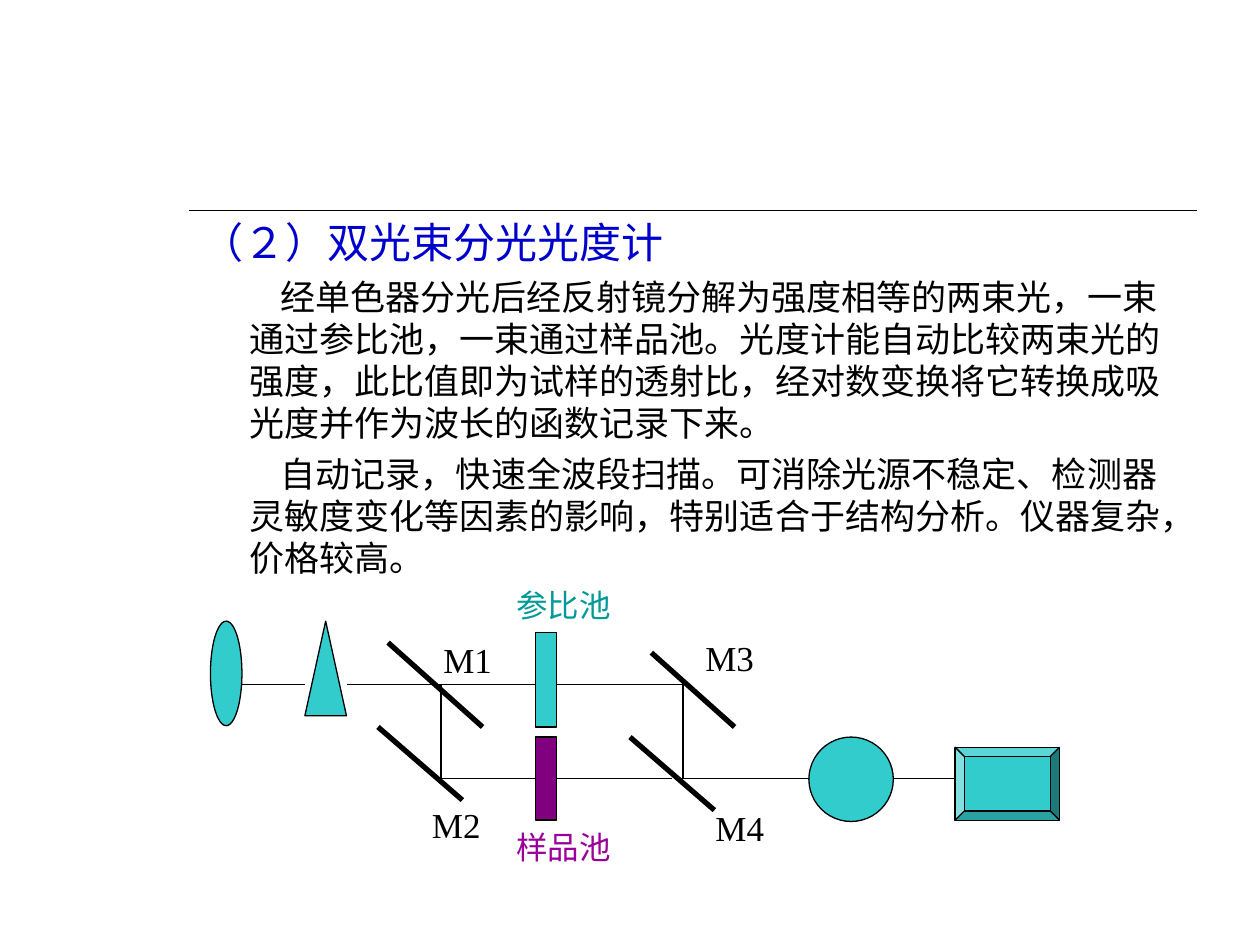
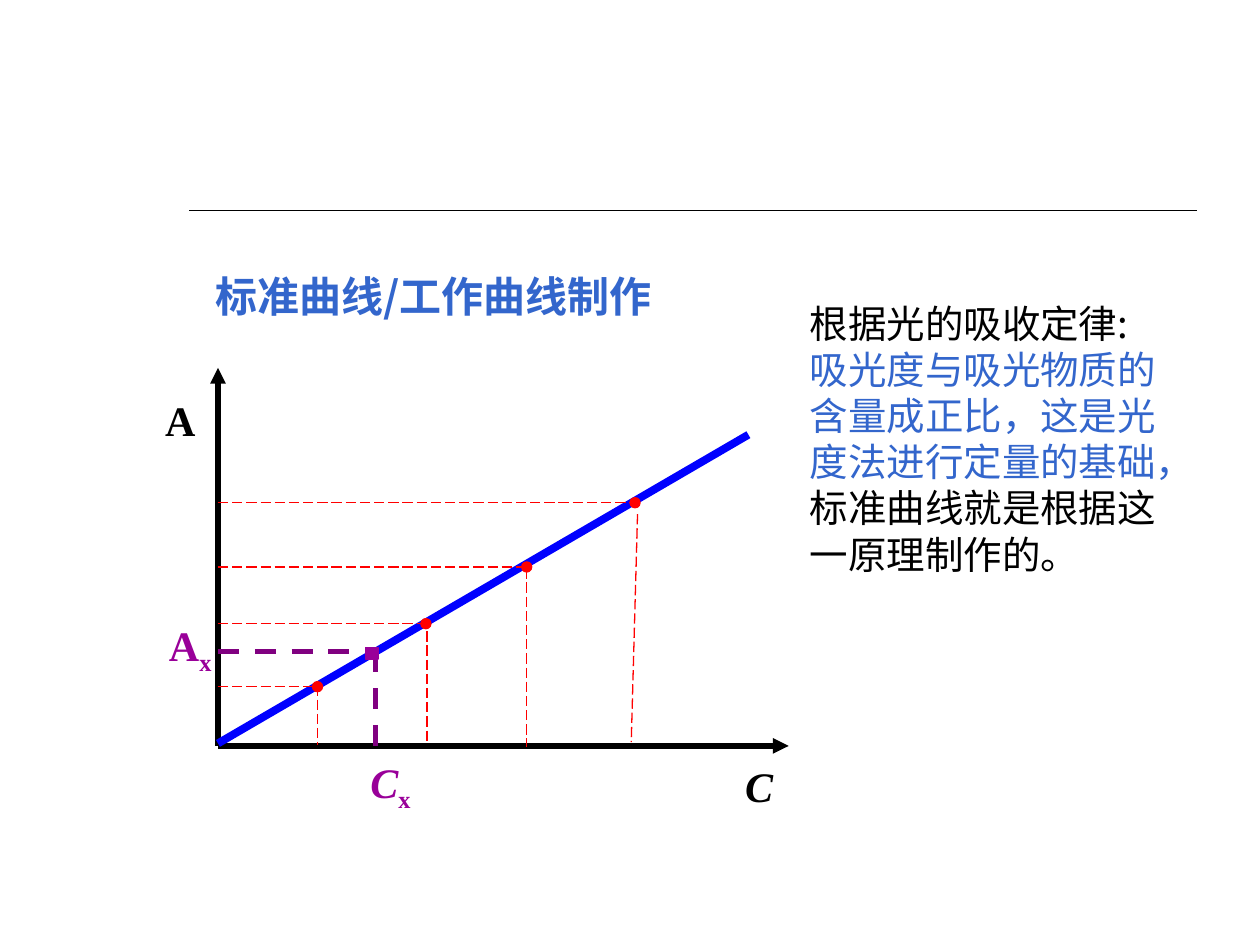
from dataclasses import dataclass
from typing import Optional, Sequence

from lxml.etree import SubElement
from pptx import Presentation
from pptx.dml.color import RGBColor
from pptx.enum.dml import MSO_LINE
from pptx.enum.shapes import MSO_CONNECTOR, MSO_SHAPE
from pptx.enum.text import MSO_ANCHOR, MSO_AUTO_SIZE, PP_ALIGN
from pptx.oxml.ns import qn
from pptx.util import Inches, Pt

TITLE_ONLY = 5
LEFT_SIDE, RIGHT_SIDE = 1, 3


@dataclass(frozen=True)
class Theme:
    black: str = "000000"
    heading_blue: str = "0000CC"
    soft_blue: str = "3366CC"
    curve_blue: str = "0000FF"
    teal: str = "33CCCC"
    dark_teal: str = "009999"
    purple: str = "800080"
    violet: str = "990099"
    red: str = "FF0000"
    cjk: str = "Noto Sans CJK SC"
    sans: str = "DejaVu Sans"
    serif: str = "Times New Roman"
    heading: float = 24
    principle: float = 22
    body: float = 20
    cell_label: float = 18
    thin: float = 0.75
    rule: float = 1
    thick: float = 3
    curve: float = 4.5
    line_height: float = 1.2


THEME = Theme()


@dataclass(frozen=True)
class Span:
    text: str
    size: float
    color: str = THEME.black
    font: str = THEME.serif
    bold: bool = False
    italic: bool = False
    subscript: bool = False


@dataclass(frozen=True)
class Label:
    left: float
    top: float
    width: float
    height: float
    spans: Sequence[Span]
    align: PP_ALIGN = PP_ALIGN.LEFT


@dataclass(frozen=True)
class Part:
    kind: MSO_SHAPE
    left: float
    top: float
    width: float
    height: float
    fill: str = THEME.teal
    outline: str = THEME.black


@dataclass(frozen=True)
class Segment:
    x1: float
    y1: float
    x2: float
    y2: float
    color: str = THEME.black
    weight: float = THEME.thin
    dash: Optional[MSO_LINE] = None
    arrow: bool = False


@dataclass(frozen=True)
class Standard:
    """A measured point on the curve and its guide down to the C axis."""
    x: float
    y: float
    drop_x1: float
    drop_y1: float
    drop_x2: float
    drop_y2: float


def add_spans(para, spans: Sequence[Span]) -> None:
    para.line_spacing = Pt(THEME.line_height * max(span.size for span in spans))
    for span in spans:
        run = para.add_run()
        run.text = span.text
        font = run.font
        font.size, font.bold, font.italic = Pt(span.size), span.bold, span.italic
        font.color.rgb = RGBColor.from_string(span.color)
        font.name = span.font
        properties = run._r.get_or_add_rPr()
        SubElement(properties, qn("a:ea")).set("typeface", THEME.cjk)
        if span.subscript:
            properties.set("baseline", "-25000")


def add_label(page, label: Label):
    box = page.shapes.add_textbox(Inches(label.left), Inches(label.top),
                                  Inches(label.width), Inches(label.height))
    box.text_frame.word_wrap = True
    para = box.text_frame.paragraphs[0]
    para.alignment = label.align
    add_spans(para, label.spans)
    return box


def add_part(page, part: Part):
    shape = page.shapes.add_shape(part.kind, Inches(part.left), Inches(part.top),
                                  Inches(part.width), Inches(part.height))
    shape.shadow.inherit = False
    shape.fill.solid()
    shape.fill.fore_color.rgb = RGBColor.from_string(part.fill)
    shape.line.color.rgb = RGBColor.from_string(part.outline)
    shape.line.width = Pt(THEME.thin)
    return shape


def add_segment(page, segment: Segment):
    line = page.shapes.add_connector(
        MSO_CONNECTOR.STRAIGHT, Inches(segment.x1), Inches(segment.y1),
        Inches(segment.x2), Inches(segment.y2))
    line.line.color.rgb = RGBColor.from_string(segment.color)
    line.line.width = Pt(segment.weight)
    if segment.dash is not None:
        line.line.dash_style = segment.dash
    if segment.arrow:
        SubElement(line.line._get_or_add_ln(), qn("a:tailEnd")).set("type", "triangle")
    SubElement(line._element.spPr, qn("a:effectLst"))
    return line


def new_page(deck, left: float, top: float, width: float, heading: Span):
    """Add a slide with the rule under its top margin and its heading."""
    page = deck.slides.add_slide(deck.slide_layouts[TITLE_ONLY])
    add_segment(page, Segment(1.5, 1.67, 9.5, 1.67, weight=THEME.rule))
    title = page.shapes.title
    title.left, title.top = Inches(left), Inches(top)
    title.width, title.height = Inches(width), Inches(0.5)
    frame = title.text_frame
    frame.word_wrap, frame.auto_size = True, MSO_AUTO_SIZE.NONE
    frame.vertical_anchor = MSO_ANCHOR.TOP
    frame.paragraphs[0].alignment = PP_ALIGN.LEFT
    add_spans(frame.paragraphs[0], [heading])
    return page


def add_body(page, texts: Sequence[str]) -> None:
    box = page.shapes.add_textbox(Inches(1.5), Inches(2.14), Inches(8), Inches(2.6))
    frame = box.text_frame
    frame.word_wrap = True
    for index, text in enumerate(texts):
        para = frame.add_paragraph() if index else frame.paragraphs[0]
        properties = para._p.get_or_add_pPr()
        properties.set("marL", str(Inches(0.38)))
        properties.set("indent", str(Inches(0.25)))
        if index:
            para.space_before = Pt(5)
        add_spans(para, [Span(text, THEME.body, font=THEME.sans)])


def build_double_beam(deck) -> None:
    page = new_page(deck, 1.5, 1.67, 8, Span(
        "（２）双光束分光光度计", THEME.heading, THEME.heading_blue, THEME.cjk))
    add_body(page, [
        "经单色器分光后经反射镜分解为强度相等的两束光，一束通过参比池，一束通过样品池。"
        "光度计能自动比较两束光的强度，此比值即为试样的透射比，"
        "经对数变换将它转换成吸光度并作为波长的函数记录下来。",
        "自动记录，快速全波段扫描。可消除光源不稳定、检测器灵敏度变化等因素的影响，"
        "特别适合于结构分析。仪器复杂，价格较高。",
    ])

    upper, lower = 5.43, 6.18
    split, merge = 3.5, 5.42
    cell_left, cell_right = 4.25, 4.42
    beams = [
        Segment(1.92, upper, 2.42, upper),
        Segment(2.75, upper, split, upper),
        Segment(split, upper, cell_left, upper),
        Segment(cell_right, upper, merge, upper),
        Segment(split, upper, split, lower),
        Segment(merge, upper, merge, lower),
        Segment(merge, lower, 6.42, lower),
        Segment(7.08, lower, 7.58, lower),
    ]
    mirrors = [
        Segment(x1, y1, x2, y2, weight=THEME.thick)
        for x1, y1, x2, y2 in [(3.08, 5.1, 3.83, 5.77), (3, 5.77, 3.67, 6.35),
                               (5.17, 5.18, 5.83, 5.77), (5, 5.85, 5.67, 6.43)]
    ]
    for segment in beams + mirrors:
        add_segment(page, segment)

    lamp = Part(MSO_SHAPE.OVAL, 1.67, 4.93, 0.25, 0.83)
    prism = Part(MSO_SHAPE.FLOWCHART_EXTRACT, 2.42, 4.93, 0.33, 0.75)
    reference_cell = Part(MSO_SHAPE.RECTANGLE, cell_left, 5.02, 0.17, 0.75)
    detector = Part(MSO_SHAPE.OVAL, 6.42, 5.85, 0.67, 0.67)
    recorder = Part(MSO_SHAPE.BEVEL, 7.58, 5.93, 0.83, 0.58)
    for part in (lamp, prism, reference_cell, detector, recorder):
        add_part(page, part)

    sample_cell = add_part(page, Part(
        MSO_SHAPE.RECTANGLE, cell_left, 5.85, 0.17, 0.66, THEME.purple))
    add_segment(page, Segment(split, lower, cell_left, lower)).end_connect(
        sample_cell, LEFT_SIDE)
    add_segment(page, Segment(cell_right, lower, 5.33, lower)).begin_connect(
        sample_cell, RIGHT_SIDE)

    for name, left, top in [("M1", 3.42, 5.02), ("M2", 3.33, 6.33),
                            ("M3", 5.5, 5), ("M4", 5.58, 6.35)]:
        add_label(page, Label(left, top, 0.67, 0.44, [Span(name, THEME.body)]))
    for name, top, color in [("参比池", 4.6, THEME.dark_teal),
                             ("样品池", 6.52, THEME.violet)]:
        add_label(page, Label(4, top, 1.25, 0.4, [Span(name, THEME.cell_label, color)]))


def axis_name(letter: str, color: str = THEME.black, italic: bool = False,
              unknown: bool = False) -> list[Span]:
    spans = [Span(letter, THEME.heading, color, bold=True, italic=italic)]
    if unknown:
        spans.append(Span("x", THEME.heading, color, bold=True, subscript=True))
    return spans


def build_standard_curve(deck) -> None:
    page = new_page(deck, 1.61, 2.1, 4.2, Span(
        "标准曲线/工作曲线制作", THEME.heading, THEME.soft_blue, THEME.cjk, bold=True))

    origin_x, origin_y = 1.73, 5.92
    for x, y in [(origin_x, 2.92), (6.26, origin_y)]:
        add_segment(page, Segment(origin_x, origin_y, x, y,
                                  weight=THEME.thick, arrow=True))
    add_segment(page, Segment(origin_x, 5.9, 5.94, 3.45,
                              THEME.curve_blue, THEME.curve))

    dot = 0.08
    standards = [
        Standard(2.52, 5.45, 2.52, 5.44, 2.52, 5.91),
        Standard(3.38, 4.95, 3.39, 5.01, 3.39, 5.88),
        Standard(4.18, 4.5, 4.18, 4.51, 4.18, 5.93),
        Standard(5.04, 3.99, 5.06, 4.08, 5.01, 5.89),
    ]
    for point in standards:
        add_part(page, Part(MSO_SHAPE.OVAL, point.x - dot / 2, point.y - dot / 2,
                            dot, dot, THEME.red, THEME.red))
        for ends in [(origin_x, point.y, point.x, point.y),
                     (point.drop_x1, point.drop_y1, point.drop_x2, point.drop_y2)]:
            add_segment(page, Segment(*ends, color=THEME.red, dash=MSO_LINE.LONG_DASH))

    unknown_x, unknown_y = 2.98, 5.17
    for ends in [(unknown_x, unknown_y, unknown_x, origin_y),
                 (origin_x, unknown_y, 2.95, unknown_y)]:
        add_segment(page, Segment(*ends, color=THEME.purple, weight=THEME.thick,
                                  dash=MSO_LINE.DASH))
    add_part(page, Part(MSO_SHAPE.RECTANGLE, 2.9, 5.14, 0.1, 0.09,
                        THEME.violet, THEME.violet))

    centre = PP_ALIGN.CENTER
    for label in [
        Label(1.14, 3.08, 0.58, 0.5, axis_name("A"), centre),
        Label(5.71, 5.99, 0.63, 0.5, axis_name("C", italic=True), centre),
        Label(2.56, 6.01, 1.08, 0.56,
              axis_name("C", THEME.violet, italic=True, unknown=True), centre),
        Label(1.06, 4.92, 0.9, 0.56, axis_name("A", THEME.violet, unknown=True), centre),
        Label(6.33, 2.33, 2.99, 2.3, [
            Span(text, THEME.principle, color, THEME.cjk) for text, color in [
                ("根据光的吸收定律:", THEME.black),
                ("吸光度与吸光物质的含量成正比，这是光度法进行定量的基础，", THEME.soft_blue),
                ("标准曲线就是根据这一原理制作的。", THEME.black),
            ]]),
    ]:
        add_label(page, label)


def main() -> None:
    deck = Presentation()
    deck.slide_width, deck.slide_height = Inches(10), Inches(7.5)
    build_double_beam(deck)
    build_standard_curve(deck)
    deck.save("out.pptx")


if __name__ == "__main__":
    main()
